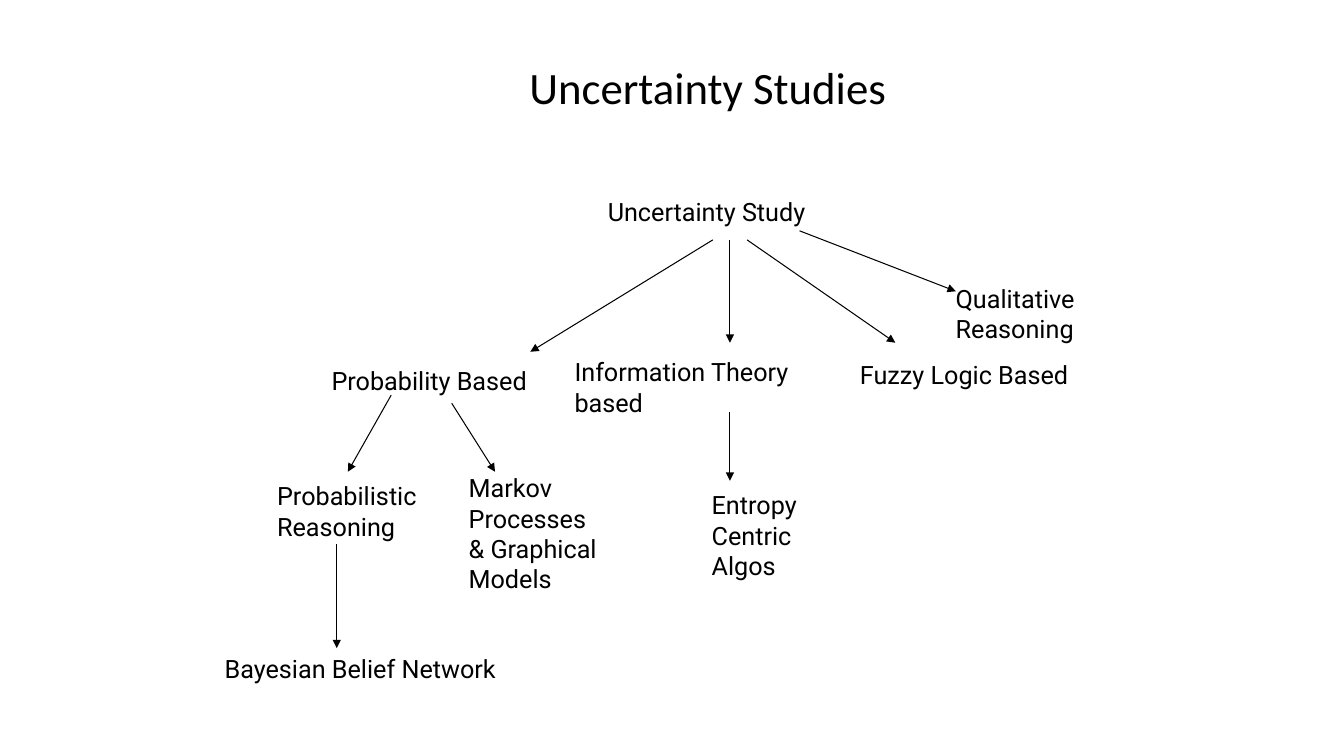
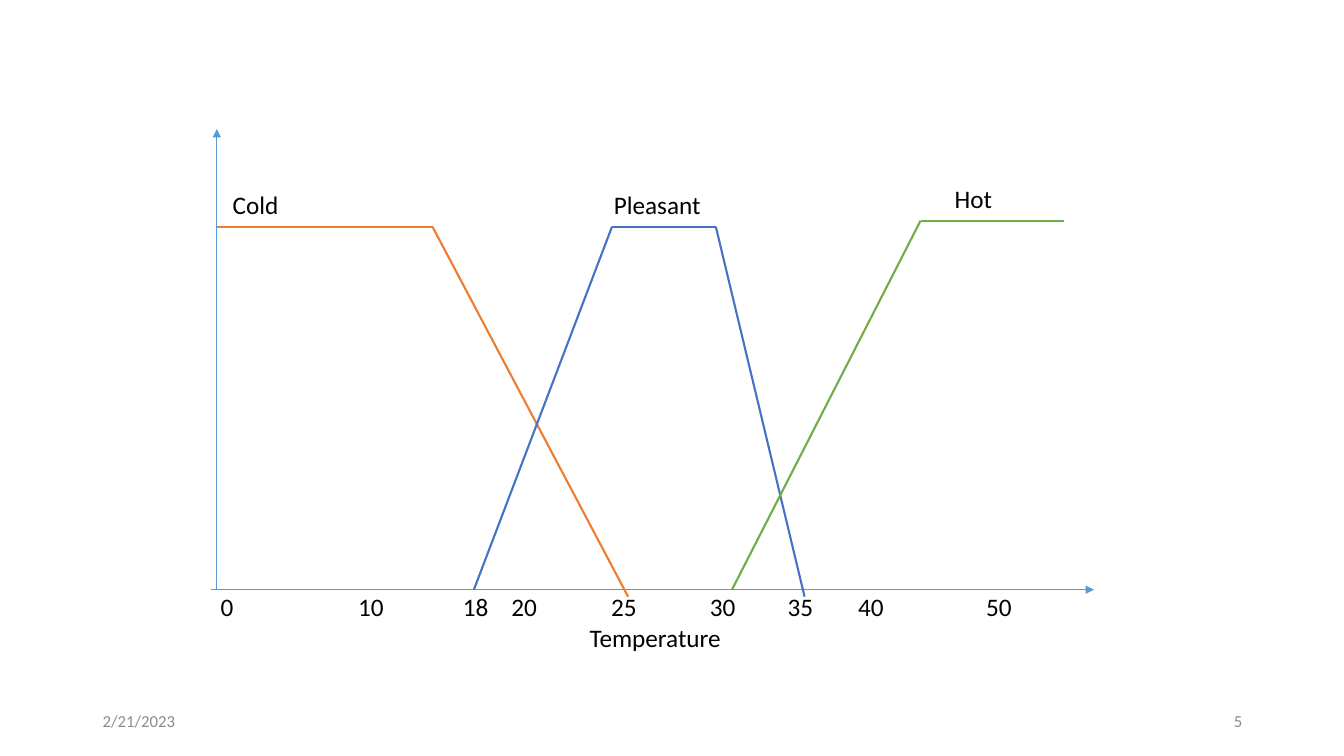
"""Builds two slides: a tree of uncertainty studies and fuzzy temperature sets."""
from dataclasses import dataclass
from itertools import pairwise

from lxml.etree import SubElement
from pptx import Presentation
from pptx.dml.color import RGBColor
from pptx.enum.shapes import MSO_CONNECTOR
from pptx.enum.text import MSO_ANCHOR, MSO_AUTO_SIZE, PP_ALIGN
from pptx.oxml.ns import qn
from pptx.util import Inches, Pt

TITLE_ONLY, BLANK = 5, 6


@dataclass(frozen=True)
class Theme:
    """Colours, fonts, type sizes and line widths of the deck."""
    ink: str = "000000"
    muted: str = "8C8C8C"
    axis: str = "5B9BD5"
    cold: str = "ED7D31"
    pleasant: str = "4472C4"
    hot: str = "70AD47"
    main_font: str = "Calibri"
    tree_font: str = "Roboto"
    title_size: int = 32
    text_size: int = 18
    footer_size: int = 12
    arrow_width: float = 0.75
    axis_width: float = 0.5
    curve_width: float = 1.5


class SlideBuilder:
    """Holds the theme and the current slide."""

    def __init__(self, deck, theme):
        """Keeps the deck and its theme."""
        self.deck = deck
        self.theme = theme
        self.page = None

    def new_page(self, layout):
        """Starts a slide on the given layout."""
        self.page = self.deck.slides.add_slide(self.deck.slide_layouts[layout])

    def add_span(self, para, text, size, colour, font):
        """Adds one formatted run to a paragraph."""
        span = para.add_run()
        span.text = text
        span.font.size = Pt(size)
        span.font.name = font
        span.font.color.rgb = RGBColor.from_string(colour)

    def title(self, text, left, top, width, height):
        """Places and fills the title placeholder."""
        box = self.page.shapes.title
        box.left, box.top = Inches(left), Inches(top)
        box.width, box.height = Inches(width), Inches(height)
        frame = box.text_frame
        frame.auto_size = MSO_AUTO_SIZE.NONE
        frame.vertical_anchor = MSO_ANCHOR.MIDDLE
        para = frame.paragraphs[0]
        para.alignment = PP_ALIGN.LEFT
        para.line_spacing = 0.9
        self.add_span(para, text, self.theme.title_size, self.theme.ink, self.theme.main_font)

    def text(self, lines, left, top, width, height, size=None, colour=None,
             font=None, align=PP_ALIGN.LEFT, anchor=MSO_ANCHOR.TOP, tabs=()):
        """Adds a text box with one paragraph per line and centred tab stops per line."""
        box = self.page.shapes.add_textbox(
            Inches(left), Inches(top), Inches(width), Inches(height))
        frame = box.text_frame
        frame.word_wrap = True
        frame.vertical_anchor = anchor
        for index, line in enumerate(lines):
            para = frame.add_paragraph() if index else frame.paragraphs[0]
            para.alignment = align
            if tabs:
                self.tab_stops(para, [stop - left - 0.1 for stop in tabs[index]])
            self.add_span(para, line, size or self.theme.text_size,
                          colour or self.theme.ink, font or self.theme.main_font)

    def tab_stops(self, para, stops):
        """Sets centred tab stops, in inches from the text edge."""
        tab_list = SubElement(para._p.get_or_add_pPr(), qn("a:tabLst"))
        for stop in stops:
            SubElement(tab_list, qn("a:tab"), pos=str(Inches(stop)), algn="ctr")

    def line(self, start, end, colour, width, arrow=False):
        """Draws a straight line, with an arrowhead at its end if wanted."""
        connector = self.page.shapes.add_connector(
            MSO_CONNECTOR.STRAIGHT, *(Inches(value) for value in (*start, *end)))
        connector.line.color.rgb = RGBColor.from_string(colour)
        connector.line.width = Pt(width)
        properties = connector._element.spPr
        if arrow:
            SubElement(properties.find(qn("a:ln")), qn("a:tailEnd"), type="triangle")
        SubElement(properties, qn("a:effectLst"))

    def curve(self, points, colour):
        """Joins the points of a membership curve."""
        for start, end in pairwise(points):
            self.line(start, end, colour, self.theme.curve_width)

    def footer(self, text, left, width, align):
        """Adds a muted footer text."""
        self.text([text], left, 6.95, width, 0.4, size=self.theme.footer_size,
                  colour=self.theme.muted, align=align, anchor=MSO_ANCHOR.MIDDLE)


def build_tree(builder):
    """Draws the tree of uncertainty studies."""
    theme = builder.theme
    builder.new_page(TITLE_ONLY)
    builder.title("Uncertainty Studies", 5.15, 0.44, 4.06, 0.9)
    nodes = [
        (["Uncertainty Study"], 5.93, 1.9, 2.24),
        (["Probability Based"], 3.19, 3.57, 2.17),
        (["Information Theory", "based"], 5.6, 3.49, 2.5),
        (["Fuzzy Logic Based"], 8.43, 3.52, 2.28),
        (["Qualitative", "Reasoning"], 9.38, 2.76, 1.51),
        (["Probabilistic", "Reasoning"], 2.65, 4.72, 1.65),
        (["Markov", "Processes", "& Graphical", "Models"], 4.55, 4.64, 1.53),
        (["Entropy", "Centric", "Algos"], 6.96, 4.81, 1.09),
        (["Bayesian Belief Network"], 2.13, 6.43, 2.96),
    ]
    for lines, left, top, width in nodes:
        builder.text(lines, left, top, width, 0.1 + 0.31 * len(lines), font=theme.tree_font)
    arrows = [
        ((7.07, 2.38), (5.26, 3.49)),
        ((7.24, 2.38), (7.24, 3.4)),
        ((7.41, 2.38), (8.88, 3.4)),
        ((7.93, 2.29), (9.48, 2.89)),
        ((3.88, 3.92), (3.45, 4.68)),
        ((4.48, 4), (4.91, 4.68)),
        ((7.24, 4.09), (7.24, 4.77)),
        ((3.34, 5.4), (3.34, 6.43)),
    ]
    for start, end in arrows:
        builder.line(start, end, theme.ink, theme.arrow_width, arrow=True)


def build_fuzzy_sets(builder):
    """Draws the temperature axis and its three fuzzy sets."""
    theme = builder.theme
    builder.new_page(BLANK)
    builder.footer("2/21/2023", 0.92, 3, PP_ALIGN.LEFT)
    builder.footer("5", 11.69, 0.73, PP_ALIGN.RIGHT)

    base, peak, origin = 5.85, 2.25, 2.15
    for start, end in [((2.09, base), (10.85, base)), ((origin, base), (origin, 1.28))]:
        builder.line(start, end, theme.axis, theme.axis_width, arrow=True)

    ticks = {"10": 3.68, "18": 4.72, "20": 5.2, "25": 6.19,
             "30": 7.17, "35": 7.94, "40": 8.64, "50": 9.91}
    builder.text(["\t".join(["0", *ticks]), "\tTemperature"], 2.09, 5.82, 8.56, 0.71,
                 tabs=[list(ticks.values()), [6.5]])

    builder.curve([(origin, peak), (4.29, peak), (6.23, 5.92)], theme.cold)
    builder.curve([(4.7, base), (6.07, peak), (7.1, peak), (7.98, 5.92)], theme.pleasant)
    builder.curve([(7.26, base), (9.13, 2.19), (10.55, 2.19)], theme.hot)
    for label, left, top, width in [("Cold", 2.21, 1.83, 0.8),
                                    ("Pleasant", 5.99, 1.83, 1.11),
                                    ("Hot", 9.37, 1.77, 0.8)]:
        builder.text([label], left, top, width, 0.4)


def main():
    """Builds and saves the deck."""
    deck = Presentation()
    deck.slide_width, deck.slide_height = Inches(13.33), Inches(7.5)
    builder = SlideBuilder(deck, Theme())
    build_tree(builder)
    build_fuzzy_sets(builder)
    deck.save("out.pptx")


if __name__ == "__main__":
    main()
